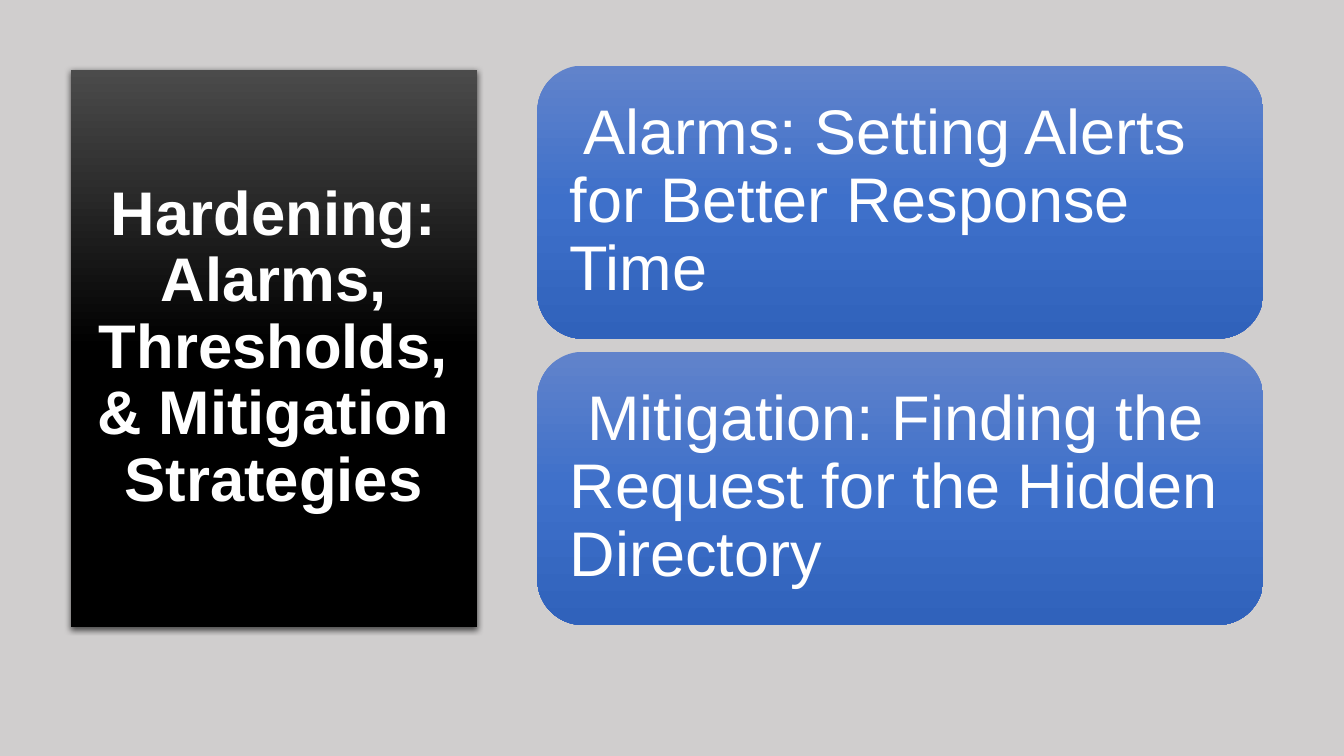
from lxml import etree
from pptx import Presentation
from pptx.dml.color import RGBColor
from pptx.enum.shapes import MSO_SHAPE
from pptx.enum.text import MSO_ANCHOR, MSO_AUTO_SIZE, PP_ALIGN
from pptx.oxml.ns import qn
from pptx.util import Inches, Pt

ROUNDED = MSO_SHAPE.ROUNDED_RECTANGLE
MIDDLE = MSO_ANCHOR.MIDDLE
NO_AUTOFIT = MSO_AUTO_SIZE.NONE
LEFT, CENTER = PP_ALIGN.LEFT, PP_ALIGN.CENTER
TITLE_ONLY = 5

FONT = "Arial"
WHITE = "FFFFFF"
BACKGROUND = "D0CECE"
BLACK_STOPS = [(0, "4B4B4B"), (50, "000000"), (100, "000000")]
BLUE_STOPS = [(0, "6183CB"), (50, "3E70CA"), (100, "3062BB")]

TITLE = "Hardening:\nAlarms, Thresholds, & Mitigation Strategies"
TOPICS = [
    " Alarms: Setting Alerts for Better Response Time",
    " Mitigation: Finding the Request for the Hidden Directory",
]


def color(hex_code):
    return RGBColor.from_string(hex_code)


def add_color(parent, hex_code):
    return etree.SubElement(parent, qn("a:srgbClr"), val=hex_code)


def fill_gradient(shape, stops):
    """Fill from top to bottom with (percent, colour) stops."""
    shape.fill.gradient()
    shape.fill.gradient_angle = 270
    stop_list = shape._element.spPr.find(qn("a:gradFill")).find(qn("a:gsLst"))
    for stop in list(stop_list):
        stop_list.remove(stop)
    for percent, hex_code in stops:
        stop = etree.SubElement(stop_list, qn("a:gs"), pos=str(percent * 1000))
        add_color(stop, hex_code)


def add_drop_shadow(shape):
    shape.shadow.inherit = False
    effects = shape._element.spPr.find(qn("a:effectLst"))
    shadow = etree.SubElement(
        effects, qn("a:outerShdw"), blurRad=str(Pt(4.5)), dist=str(Pt(1.5)),
        dir="5400000", algn="ctr", rotWithShape="0")
    etree.SubElement(add_color(shadow, "000000"), qn("a:alpha"), val="63000")


def write_text(shape, text, size, bold=False, align=LEFT, inset=0.1, vertical_inset=0.05):
    frame = shape.text_frame
    frame.word_wrap = True
    frame.auto_size = NO_AUTOFIT
    frame.vertical_anchor = MIDDLE
    frame.margin_left = frame.margin_right = Inches(inset)
    frame.margin_top = frame.margin_bottom = Inches(vertical_inset)
    para = frame.paragraphs[0]
    para.text = text
    para.alignment = align
    para.line_spacing = 0.9
    for span in para.runs:
        span.font.name = FONT
        span.font.size = Pt(size)
        span.font.bold = bold
        span.font.color.rgb = color(WHITE)


def place_title(page, left, top, width, height):
    title = page.shapes.title
    title.left, title.top = Inches(left), Inches(top)
    title.width, title.height = Inches(width), Inches(height)
    fill_gradient(title, BLACK_STOPS)
    add_drop_shadow(title)
    write_text(title, TITLE, 44, bold=True, align=CENTER)


def add_topic_card(group, text, left, top, width, height):
    card = group.shapes.add_shape(
        ROUNDED, Inches(left), Inches(top), Inches(width), Inches(height))
    card.shadow.inherit = False
    card.line.fill.background()
    fill_gradient(card, BLUE_STOPS)

    pad = 0.13
    label = group.shapes.add_textbox(
        Inches(left + pad), Inches(top + pad),
        Inches(width - 2 * pad), Inches(height - 2 * pad))
    write_text(label, text, 45, inset=0.19, vertical_inset=0.19)


def add_topic_stack(page, left, top, width, height, gap=0.13):
    group = page.shapes.add_group_shape()
    card_height = (height - gap * (len(TOPICS) - 1)) / len(TOPICS)
    for index, topic in enumerate(TOPICS):
        card_top = top + index * (card_height + gap)
        add_topic_card(group, topic, left, card_top, width, card_height)


def main():
    deck = Presentation()
    deck.slide_width, deck.slide_height = Inches(13.33), Inches(7.5)
    page = deck.slides.add_slide(deck.slide_layouts[TITLE_ONLY])
    page.background.fill.solid()
    page.background.fill.fore_color.rgb = color(BACKGROUND)
    place_title(page, 0.7, 0.69, 4.03, 5.53)
    add_topic_stack(page, 5.33, 0.65, 7.2, 5.55)
    deck.save("out.pptx")


if __name__ == "__main__":
    main()
